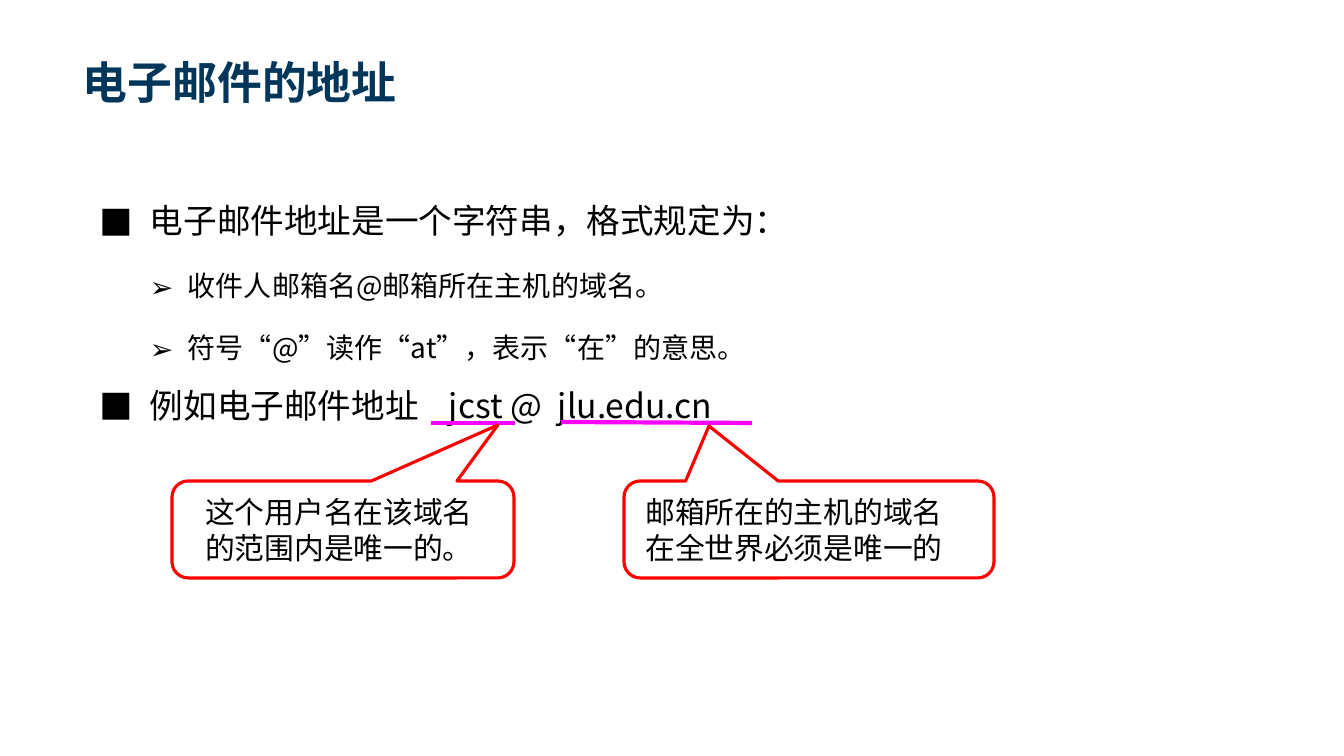
from dataclasses import dataclass

from lxml import etree
from pptx import Presentation
from pptx.dml.color import RGBColor
from pptx.enum.shapes import MSO_CONNECTOR, MSO_SHAPE
from pptx.enum.text import MSO_ANCHOR, PP_ALIGN
from pptx.oxml.ns import qn
from pptx.util import Emu, Pt

STRAIGHT = MSO_CONNECTOR.STRAIGHT
CALLOUT = MSO_SHAPE.ROUNDED_RECTANGULAR_CALLOUT
TOP, MIDDLE, BOTTOM = MSO_ANCHOR.TOP, MSO_ANCHOR.MIDDLE, MSO_ANCHOR.BOTTOM
LEFT, CENTER = PP_ALIGN.LEFT, PP_ALIGN.CENTER
PAGE_WIDTH, PAGE_HEIGHT = 1344, 756


@dataclass(frozen=True)
class Theme:
    """Colours, fonts and type sizes of the slide."""
    title_color: str = "003659"
    text_color: str = "000000"
    callout_color: str = "FF0000"
    underline_color: str = "FF00FF"
    title_font: str = "Arial"
    text_font: str = "Noto Sans CJK SC"
    title_size: float = 32
    item_size: float = 24
    subitem_size: float = 20
    callout_size: float = 21.3
    leading: float = 44
    underline_width: float = 3
    callout_width: float = 2.25


THEME = Theme()


def px(length):
    """Turn pixels into EMU."""
    return Emu(round(length * 914400 / 100.8))


def set_bullet(para, bullet, margin, hanging, tabs):
    """Give a paragraph a hanging bullet and tab stops."""
    properties = para._p.get_or_add_pPr()
    properties.set("marL", str(px(margin)))
    properties.set("indent", str(-px(hanging)))
    etree.SubElement(properties, qn("a:buFont"), typeface=THEME.text_font)
    etree.SubElement(properties, qn("a:buChar"), char=bullet)
    if tabs:
        stops = etree.SubElement(properties, qn("a:tabLst"))
        for stop in tabs:
            etree.SubElement(stops, qn("a:tab"), pos=str(px(stop)), algn="l")


def write(para, text, size, color=THEME.text_color, font=THEME.text_font,
          bold=False, align=LEFT, leading=None):
    """Write one formatted run into a paragraph."""
    para.alignment = align
    if leading:
        para.line_spacing = Pt(leading)
    span = para.add_run()
    span.text = text
    span.font.size = Pt(size)
    span.font.bold = bold
    span.font.name = font
    span.font.color.rgb = RGBColor.from_string(color)
    etree.SubElement(span._r.get_or_add_rPr(), qn("a:ea"), typeface=THEME.text_font)


def add_text_frame(page, box, anchor=TOP, wrap=True):
    """Add a text box and return its frame."""
    frame = page.shapes.add_textbox(*map(px, box)).text_frame
    frame.word_wrap = wrap
    frame.vertical_anchor = anchor
    return frame


def add_paragraphs(frame, count):
    """Return the given number of paragraphs of a new frame."""
    return [frame.paragraphs[0]] + [frame.add_paragraph() for _ in range(count - 1)]


def add_title(page, box, text):
    """Place the slide title at the bottom of its box."""
    frame = add_text_frame(page, box, BOTTOM)
    write(frame.paragraphs[0], text, THEME.title_size, color=THEME.title_color,
          font=THEME.title_font, bold=True)


def add_outline(page, box, items):
    """Place the bulleted list of levels, texts and tab stops."""
    styles = [("■", 50, 50, THEME.item_size), ("➢", 88, 38, THEME.subitem_size)]
    frame = add_text_frame(page, box)
    for para, (level, text, tabs) in zip(add_paragraphs(frame, len(items)), items):
        bullet, margin, hanging, size = styles[level]
        para.line_spacing = Pt(THEME.leading)
        set_bullet(para, bullet, margin, hanging, tabs)
        write(para, text, size, leading=THEME.leading)


def add_underline(page, start, end):
    """Draw a coloured line under a part of the address."""
    line = page.shapes.add_connector(STRAIGHT, *map(px, start + end))
    line.line.color.rgb = RGBColor.from_string(THEME.underline_color)
    line.line.width = Pt(THEME.underline_width)
    etree.SubElement(line._element.spPr, qn("a:effectLst"))


def add_callout(page, box, tip, text_inset, text_width, lines):
    """Place a callout whose tip is given from its top left corner."""
    left, top, width, height = box
    callout = page.shapes.add_shape(CALLOUT, *map(px, box))
    callout.shadow.inherit = False
    callout.fill.background()
    callout.line.color.rgb = RGBColor.from_string(THEME.callout_color)
    callout.line.width = Pt(THEME.callout_width)
    callout.adjustments[0] = tip[0] / width - 0.5
    callout.adjustments[1] = tip[1] / height - 0.5
    text_box = (left + text_inset, top, text_width, height)
    frame = add_text_frame(page, text_box, MIDDLE, wrap=False)
    for para, text in zip(add_paragraphs(frame, len(lines)), lines):
        write(para, text, THEME.callout_size, align=CENTER)


def build_address_page(page):
    """Place all regions of the address slide."""
    add_title(page, (73, 14, 1198, 99), "电子邮件的地址")
    add_outline(page, (90, 174, 1072, 252), [
        (0, "电子邮件地址是一个字符串，格式规定为：", ()),
        (1, "收件人邮箱名@邮箱所在主机的域名。", ()),
        (1, "符号“@”读作“at”，表示“在”的意思。", ()),
        (0, "例如电子邮件地址\tjcst @\tjlu.edu.cn", (349, 458)),
    ])
    add_underline(page, (561, 422), (752, 423))
    add_callout(page, (624, 481, 370, 97), (85, -55), 7, 326,
                ["邮箱所在的主机的域名", "在全世界必须是唯一的"])
    add_underline(page, (431, 423), (515, 423))
    add_callout(page, (172, 481, 342, 97), (326, -56), 19, 296,
                ["这个用户名在该域名", "的范围内是唯一的。"])


def main():
    """Build the deck and save it."""
    deck = Presentation()
    deck.slide_width, deck.slide_height = px(PAGE_WIDTH), px(PAGE_HEIGHT)
    build_address_page(deck.slides.add_slide(deck.slide_layouts[6]))
    deck.save("out.pptx")


if __name__ == "__main__":
    main()
